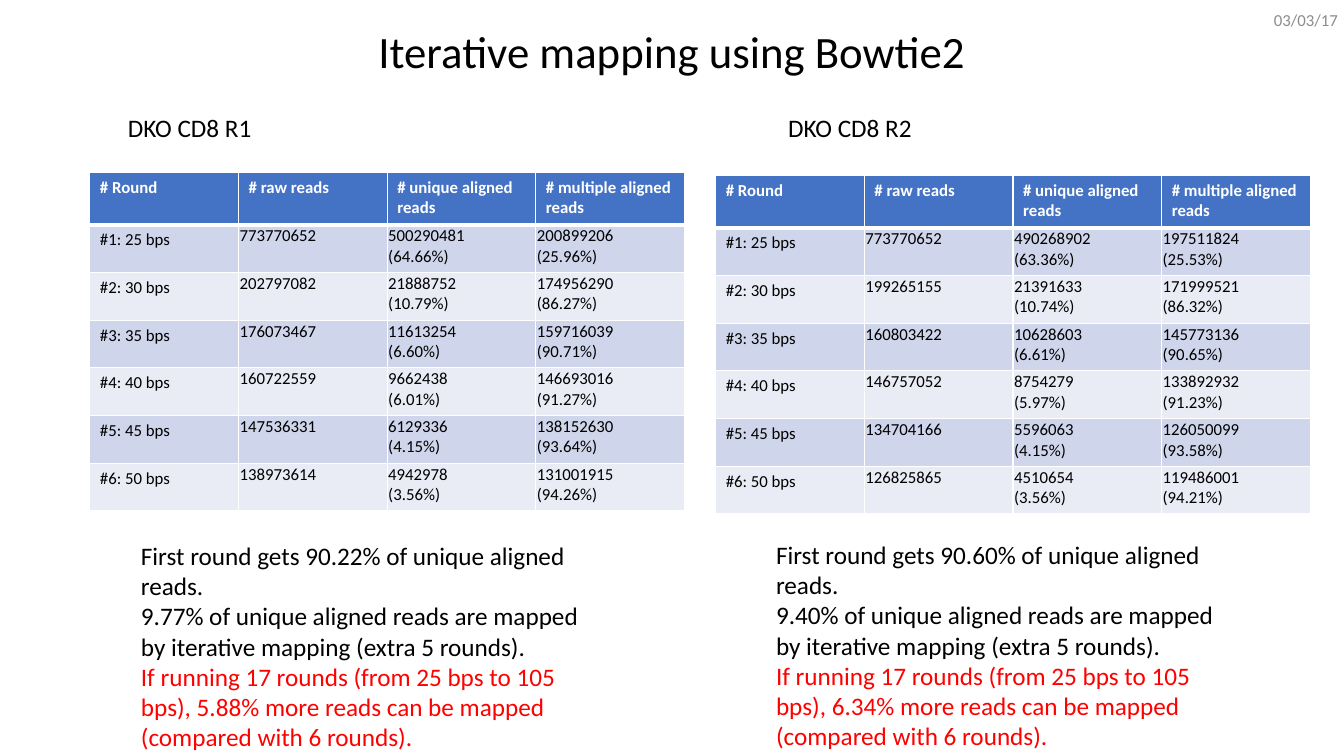
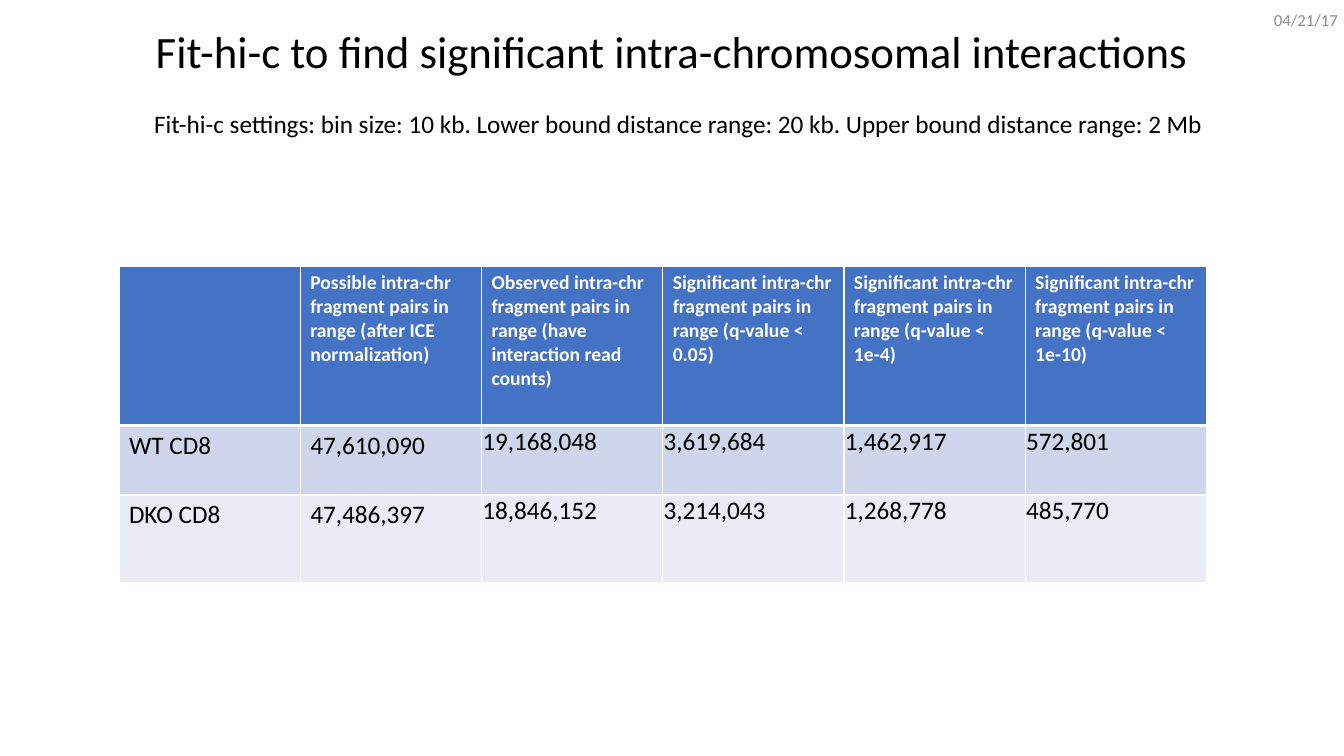
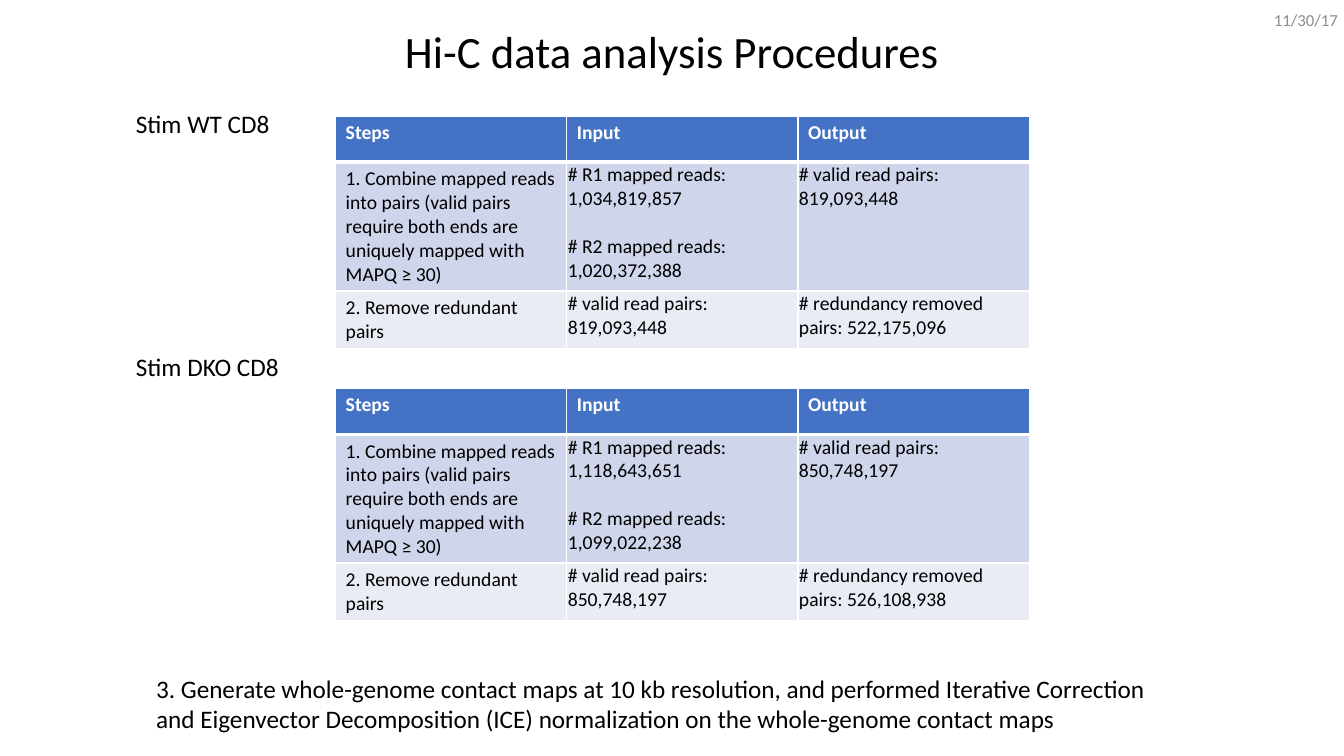
from dataclasses import dataclass

from lxml.etree import SubElement
from pptx import Presentation
from pptx.dml.color import RGBColor
from pptx.enum.text import MSO_ANCHOR as Anchor, PP_ALIGN as Align
from pptx.oxml.ns import qn
from pptx.slide import Slide
from pptx.util import Emu, Inches, Pt

# Shared look
FONT = "Calibri"
BLACK, WHITE, RED, GREY = "000000", "FFFFFF", "FF0000", "8C8C8C"
HEADER_BLUE = "4472C4"
BANDS = ("CFD5EA", "E9EBF5")
TITLE_SIZE, TEXT_SIZE, SMALL_SIZE, DATE_SIZE = 32, 18, 14, 12

# The slide is a grid of 80 columns by 45 rows of square units
WIDTH, HEIGHT = Inches(13.333), Inches(7.5)
UNIT = HEIGHT / 45


@dataclass(frozen=True)
class Line:
    text: str
    color: str = BLACK
    before: float = 0


@dataclass(frozen=True)
class Place:
    col: float
    row: float
    cols: float
    rows: float = 2.4


@dataclass(frozen=True)
class TableStyle:
    col_width: float
    row_heights: tuple[float, ...]
    header_size: int
    body_size: int
    first_tight_col: int  # body cells from this column on have narrow margins


Cell = str | tuple[Line, ...]

ROUNDS_STYLE = TableStyle(8.85, (3.12,) + (2.84,) * 6, DATE_SIZE, DATE_SIZE, 1)
PAIRS_STYLE = TableStyle(10.79, (9.48, 4.14, 5.22), SMALL_SIZE, TEXT_SIZE, 2)
STEPS_STYLE = TableStyle(13.76, (2.76, 7.66, 3.4), SMALL_SIZE, SMALL_SIZE, 1)


def units(count: float) -> Emu:
    return Emu(round(count * UNIT))


def rgb(color: str) -> RGBColor:
    return RGBColor.from_string(color)


def write(frame, lines: tuple[Line, ...], size: float, bold: bool = False,
          align: Align = Align.LEFT) -> None:
    for index, line in enumerate(lines):
        paragraph = frame.add_paragraph() if index else frame.paragraphs[0]
        paragraph.text = line.text
        paragraph.alignment = align
        if line.before:
            paragraph.space_before = Pt(line.before)
        font = paragraph.font
        font.name, font.size, font.bold = FONT, Pt(size), bold
        font.color.rgb = rgb(line.color)


def add_text(slide: Slide, place: Place, *lines: Line, size: float = TEXT_SIZE,
             align: Align = Align.LEFT, anchor: Anchor = Anchor.TOP):
    box = slide.shapes.add_textbox(units(place.col), units(place.row),
                                   units(place.cols), units(place.rows))
    frame = box.text_frame
    frame.word_wrap = True
    frame.vertical_anchor = anchor
    write(frame, lines, size, align=align)
    return frame


def set_borders(cell, bottom: float) -> None:
    properties = cell._tc.get_or_add_tcPr()
    for index, (side, width) in enumerate(
            (("lnL", 1), ("lnR", 1), ("lnT", 1), ("lnB", bottom))):
        border = properties.makeelement(qn(f"a:{side}"), {"w": str(Pt(width))})
        fill = SubElement(border, qn("a:solidFill"))
        SubElement(fill, qn("a:srgbClr"), val=WHITE)
        properties.insert(index, border)


def add_table(slide: Slide, col: float, row: float, style: TableStyle,
              rows: list[tuple[Cell, ...]]) -> None:
    count = len(rows[0])
    table = slide.shapes.add_table(
        len(rows), count, units(col), units(row),
        units(style.col_width * count), units(sum(style.row_heights))).table
    for column in table.columns:
        column.width = units(style.col_width)
    for r, (values, height) in enumerate(zip(rows, style.row_heights)):
        header = r == 0
        table.rows[r].height = units(height)
        for c, value in enumerate(values):
            cell = table.cell(r, c)
            cell.fill.solid()
            cell.fill.fore_color.rgb = rgb(HEADER_BLUE if header else BANDS[(r - 1) % 2])
            set_borders(cell, bottom=3 if header or r == 0 else 1)
            if not header and c >= style.first_tight_col:
                cell.margin_left = cell.margin_right = cell.margin_top = Inches(0.01)
                cell.margin_bottom = 0
            if isinstance(value, str):
                value = (Line(value, WHITE if header else BLACK),)
            write(cell.text_frame, value,
                  style.header_size if header else style.body_size, bold=header)


def add_slide(deck, title: str, date: str) -> Slide:
    slide = deck.slides.add_slide(deck.slide_layouts[6])
    heading = add_text(slide, Place(5.5, 0, 69, 6.4), Line(title), size=TITLE_SIZE,
                       align=Align.CENTER, anchor=Anchor.MIDDLE)
    heading.paragraphs[0].line_spacing = 0.9
    stamp = add_text(slide, Place(75.24, 0, 4.7), Line(date, GREY), size=DATE_SIZE,
                     anchor=Anchor.MIDDLE)
    stamp.margin_right = 0
    return slide


# Slide 1: one half per read end
@dataclass(frozen=True)
class ReadEnd:
    name: str
    label_col: float
    label_row: float
    table_col: float
    table_row: float
    summary: Place
    first_share: str
    extra_share: str
    gain: str
    rounds: tuple[tuple[str, str, str], ...]


READ_ENDS = (
    ReadEnd("R1", 7.02, 6.42, 5.35, 10.26, Place(7.8, 31.86, 28.44, 13.1),
            "90.22%", "9.77%", "5.88%", (
                ("773770652", "500290481\n(64.66%)", "200899206\n(25.96%)"),
                ("202797082", "21888752\n(10.79%)", "174956290\n(86.27%)"),
                ("176073467", "11613254\n(6.60%)", "159716039\n(90.71%)"),
                ("160722559", "9662438\n(6.01%)", "146693016\n(91.27%)"),
                ("147536331", "6129336\n(4.15%)", "138152630\n(93.64%)"),
                ("138973614", "4942978\n(3.56%)", "131001915\n(94.26%)"))),
    ReadEnd("R2", 46.32, 6.42, 42.6, 10.44, Place(45.6, 31.8, 28.92, 13.1),
            "90.60%", "9.40%", "6.34%", (
                ("773770652", "490268902\n(63.36%)", "197511824\n(25.53%)"),
                ("199265155", "21391633\n(10.74%)", "171999521\n(86.32%)"),
                ("160803422", "10628603\n(6.61%)", "145773136\n(90.65%)"),
                ("146757052", "8754279\n(5.97%)", "133892932\n(91.23%)"),
                ("134704166", "5596063\n(4.15%)", "126050099\n(93.58%)"),
                ("126825865", "4510654\n(3.56%)", "119486001\n(94.21%)"))),
)


def add_mapping_slide(deck) -> None:
    slide = add_slide(deck, "Iterative mapping using Bowtie2", "03/03/17")
    header = ("# Round", "# raw reads", "# unique aligned reads", "# multiple aligned reads")
    for end in READ_ENDS:
        add_text(slide, Place(end.label_col, end.label_row, 12), Line(f"DKO CD8 {end.name}"))
        body = [(f"#{number}: {20 + 5 * number} bps", *counts)
                for number, counts in enumerate(end.rounds, 1)]
        add_table(slide, end.table_col, end.table_row, ROUNDS_STYLE, [header, *body])
        add_text(
            slide, end.summary,
            Line(f"First round gets {end.first_share} of unique aligned reads.\n"
                 f"{end.extra_share} of unique aligned reads are mapped by iterative "
                 "mapping (extra 5 rounds)."),
            Line(f"If running 17 rounds (from 25 bps to 105 bps), {end.gain} more reads "
                 "can be mapped (compared with 6 rounds).", RED))


# Slide 2: significant interactions
def add_interactions_slide(deck) -> None:
    slide = add_slide(
        deck, "Fit-hi-c to find significant intra-chromosomal interactions", "04/21/17")
    add_text(slide, Place(8.58, 6.18, 66),
             Line("Fit-hi-c settings: bin size: 10 kb. Lower bound distance range: 20 kb. "
                  "Upper bound distance range: 2 Mb"))
    pairs = "intra-chr fragment pairs in range"
    header = ("", f"Possible {pairs} (after ICE normalization)",
              f"Observed {pairs} (have interaction read counts)",
              *(f"Significant {pairs} (q-value < {limit})"
                for limit in ("0.05", "1e-4", "1e-10")))
    add_table(slide, 7.08, 15.84, PAIRS_STYLE, [
        header,
        ("WT CD8", "47,610,090", "19,168,048", "3,619,684", "1,462,917", "572,801"),
        ("DKO CD8", "47,486,397", "18,846,152", "3,214,043", "1,268,778", "485,770"),
    ])


# Slide 3: pairing steps per sample
@dataclass(frozen=True)
class Sample:
    name: str
    label_row: float
    table_row: float
    r1_reads: str
    r2_reads: str
    valid_pairs: str
    kept_pairs: str


SAMPLES = (
    Sample("Stim WT CD8", 6.18, 6.9,
           "1,034,819,857", "1,020,372,388", "819,093,448", "522,175,096"),
    Sample("Stim DKO CD8", 20.64, 23.1,
           "1,118,643,651", "1,099,022,238", "850,748,197", "526,108,938"),
)


def add_procedures_slide(deck) -> None:
    slide = add_slide(deck, "Hi-C data analysis Procedures", "11/30/17")
    for sample in SAMPLES:
        add_text(slide, Place(7.5, sample.label_row, 12), Line(sample.name))
        valid = f"# valid read pairs: {sample.valid_pairs}"
        mapped = (Line(f"# R1 mapped reads: {sample.r1_reads}"),
                  Line(f"# R2 mapped reads: {sample.r2_reads}", before=17))
        add_table(slide, 19.98, sample.table_row, STEPS_STYLE, [
            ("Steps", "Input", "Output"),
            ("1. Combine mapped reads into pairs (valid pairs require both ends are "
             "uniquely mapped with MAPQ ≥ 30)", mapped, valid),
            ("2. Remove redundant pairs", valid,
             f"# redundancy removed pairs: {sample.kept_pairs}"),
        ])
    add_text(slide, Place(8.7, 39.78, 60.72, 4.26),
             Line("3. Generate whole-genome contact maps at 10 kb resolution, and performed "
                  "Iterative Correction and Eigenvector Decomposition (ICE) normalization "
                  "on the whole-genome contact maps"))


def main() -> None:
    deck = Presentation()
    deck.slide_width, deck.slide_height = WIDTH, HEIGHT
    add_mapping_slide(deck)
    add_interactions_slide(deck)
    add_procedures_slide(deck)
    deck.save("out.pptx")


if __name__ == "__main__":
    main()
